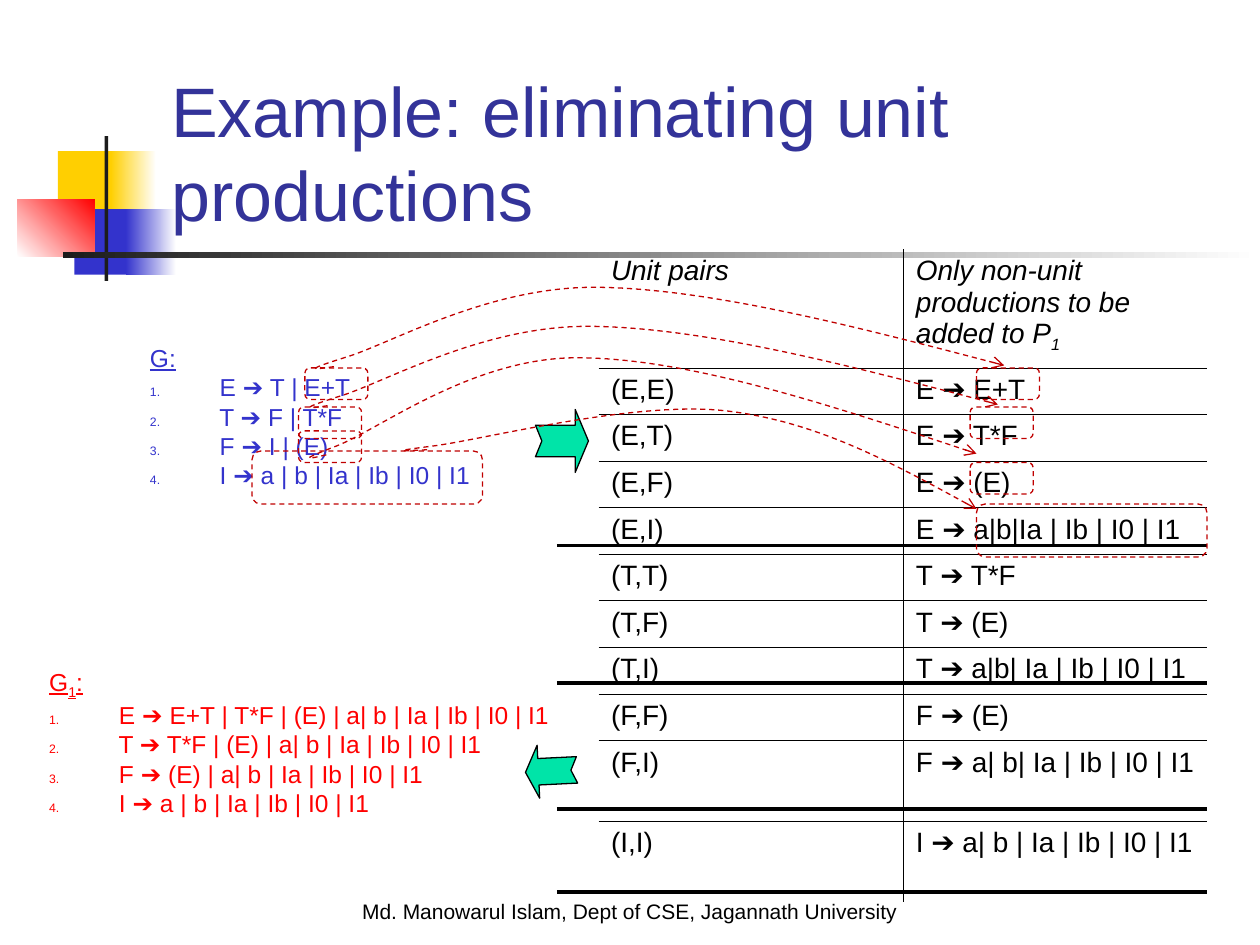
from dataclasses import dataclass

from lxml import etree
from pptx import Presentation
from pptx.dml.color import RGBColor
from pptx.enum.dml import MSO_LINE
from pptx.enum.shapes import MSO_CONNECTOR, MSO_SHAPE
from pptx.enum.text import MSO_ANCHOR, MSO_AUTO_SIZE, PP_ALIGN
from pptx.oxml.ns import qn
from pptx.util import Inches, Pt

RECT, ROUND = MSO_SHAPE.RECTANGLE, MSO_SHAPE.ROUNDED_RECTANGLE
STRAIGHT = MSO_CONNECTOR.STRAIGHT
DASH = MSO_LINE.DASH
LEFT, CENTER = PP_ALIGN.LEFT, PP_ALIGN.CENTER
TOP, BOTTOM = MSO_ANCHOR.TOP, MSO_ANCHOR.BOTTOM
NO_FIT = MSO_AUTO_SIZE.NONE


@dataclass(frozen=True)
class Theme:
    font: str = "Arial"
    title: str = "333399"
    blue: str = "3333CC"
    red: str = "FF0000"
    yellow: str = "FFCF01"
    dark: str = "1C1C1C"
    white: str = "FFFFFF"
    black: str = "000000"
    green: str = "00E4A8"
    link: str = "C00000"
    title_size: int = 40
    table_size: int = 16
    list_size: int = 14
    footer_size: int = 12


T = Theme()


def add_text(p, text, size, color, italic=False, underline=False, sub=False):
    r = p.add_run()
    r.text = text
    f = r.font
    f.name, f.size, f.italic, f.underline = T.font, Pt(size), italic, underline
    f.color.rgb = RGBColor.from_string(color)
    if sub:
        r._r.get_or_add_rPr().set("baseline", "-25000")


def style(sp, fill=None, line=None, dash=None):
    sp.shadow.inherit = False
    if fill:
        sp.fill.solid()
        sp.fill.fore_color.rgb = RGBColor.from_string(fill)
    else:
        sp.fill.background()
    if line:
        sp.line.color.rgb = RGBColor.from_string(line)
        sp.line.width = Pt(0.75)
        sp.line.dash_style = dash
    else:
        sp.line.fill.background()


prs = Presentation()
prs.slide_width, prs.slide_height = Inches(10), Inches(7.5)
slide = prs.slides.add_slide(prs.slide_layouts[3])
shapes = slide.shapes

decor = [
    (0.46, 1.2, 0.48, 0.52, T.yellow, None, 0),
    (0.88, 1.2, 0.36, 0.52, T.yellow, T.white, 0),
    (0.59, 1.66, 0.46, 0.52, T.blue, None, 0),
    (1, 1.66, 0.4, 0.52, T.blue, T.white, 0),
    (0.14, 1.58, 0.61, 0.46, T.white, T.red, 45),
    (0.83, 1.08, 0.03, 1.15, T.dark, None, 0),
    (0.5, 2, 9.5, 0.05, T.dark, T.white, 0),
]
for x, y, w, h, start, end, angle in decor:
    sp = shapes.add_shape(RECT, Inches(x), Inches(y), Inches(w), Inches(h))
    style(sp, start)
    if end:
        sp.fill.gradient()
        sp.fill.gradient_angle = angle
        for stop, color in zip(sp.fill.gradient_stops, (start, end)):
            stop.color.rgb = RGBColor.from_string(color)

footer = shapes.add_textbox(0, Inches(7.08), Inches(10), Inches(0.3))
footer.text_frame.word_wrap = True
p = footer.text_frame.paragraphs[0]
p.alignment = CENTER
add_text(p, "Md. Manowarul Islam, Dept of CSE, Jagannath University", T.footer_size, T.black)

title, grammar, result = slide.placeholders
boxes = [
    (title, 1.26, 0.67, 8.52, 1.25, BOTTOM),
    (grammar, 0.09, 2.67, 3.77, 1.27, TOP),
    (result, -0.71, 5.24, 5.21, 1.3, TOP),
]
for ph, x, y, w, h, anchor in boxes:
    shapes._spTree.append(ph._element)
    ph.left, ph.top, ph.width, ph.height = Inches(x), Inches(y), Inches(w), Inches(h)
    tf = ph.text_frame
    tf.word_wrap, tf.auto_size, tf.vertical_anchor = True, NO_FIT, anchor
p = title.text_frame.paragraphs[0]
p.alignment = LEFT
add_text(p, "Example: eliminating unit productions", T.title_size, T.title)

lists = [
    (grammar, T.blue, [("G:", False)],
     ["E ➔ T | E+T", "T ➔ F | T*F", "F ➔ I | (E)", "I ➔ a | b | Ia | Ib | I0 | I1"]),
    (result, T.red, [("G", False), ("1", True), (":", False)],
     ["E ➔ E+T | T*F | (E) | a| b | Ia | Ib | I0 | I1",
      "T ➔ T*F | (E) | a| b | Ia | Ib | I0 | I1",
      "F ➔ (E) | a| b | Ia | Ib | I0 | I1",
      "I ➔ a | b | Ia | Ib | I0 | I1"]),
]
for ph, color, heading, rules in lists:
    tf = ph.text_frame
    for i in range(len(rules) + 1):
        p = tf.add_paragraph() if i else tf.paragraphs[0]
        p.level, p.space_before = 2, Pt(0)
        pPr = p._p.get_or_add_pPr()
        pPr.set("marL", str(Inches(1.5)))
        pPr.set("indent", str(Inches(-0.5)))
        if i == 0:
            etree.SubElement(pPr, qn("a:buNone"))
            for text, sub in heading:
                add_text(p, text, T.list_size, color, underline=True, sub=sub)
            continue
        clr = etree.SubElement(pPr, qn("a:buClr"))
        etree.SubElement(clr, qn("a:srgbClr"), val=color)
        etree.SubElement(pPr, qn("a:buSzPct"), val="50000")
        etree.SubElement(pPr, qn("a:buFont"), typeface=T.font)
        etree.SubElement(pPr, qn("a:buAutoNum"), type="arabicPeriod")
        add_text(p, " " + rules[i - 1], T.list_size, color)

rows = [
    ("Unit pairs", "Only non-unit productions to be added to P"),
    ("(E,E)", "E ➔ E+T"),
    ("(E,T)", "E ➔ T*F"),
    ("(E,F)", "E ➔ (E)"),
    ("(E,I)", "E ➔ a|b|Ia | Ib | I0 | I1"),
    ("(T,T)", "T ➔ T*F"),
    ("(T,F)", "T ➔ (E)"),
    ("(T,I)", "T ➔ a|b| Ia | Ib | I0 | I1"),
    ("(F,F)", "F ➔ (E)"),
    ("(F,I)", "F ➔ a| b| Ia | Ib | I0 | I1"),
    ("(I,I)", "I ➔ a| b | Ia | Ib | I0 | I1"),
]
heights = [0.94] + [0.37] * 8 + [0.64] * 2
frame = shapes.add_table(len(rows), 2, Inches(4.75), Inches(1.98), Inches(4.83), Inches(sum(heights)))
table = frame.table
table.first_row = table.horz_banding = False
for col, w in zip(table.columns, (2.42, 2.41)):
    col.width = Inches(w)
for i, (row, h) in enumerate(zip(rows, heights)):
    table.rows[i].height = Inches(h)
    for j, text in enumerate(row):
        cell = table.cell(i, j)
        p = cell.text_frame.paragraphs[0]
        p.space_before = Pt(4)
        add_text(p, text, T.table_size, T.black, italic=i == 0)
        if i == 0 and j == 1:
            add_text(p, "1", T.table_size, T.black, italic=True, sub=True)
        tcPr = cell._tc.get_or_add_tcPr()
        inner = {"lnL": j > 0, "lnR": j < 1, "lnT": i > 0, "lnB": i < len(rows) - 1}
        for side, shown in inner.items():
            ln = etree.SubElement(tcPr, qn("a:" + side), w=str(Pt(0.45)))
            fill = etree.SubElement(ln, qn("a:solidFill" if shown else "a:noFill"))
            if shown:
                etree.SubElement(fill, qn("a:srgbClr"), val=T.black)
        cell.fill.background()

notched = [(0, 0.25), (0.75, 0.25), (0.75, 0), (1, 0.5), (0.75, 1), (0.75, 0.75), (0, 0.75), (0.12, 0.5)]
for x, y, w, h, angle in ((4.25, 3.25, 0.42, 0.5, 0), (4.17, 5.91, 0.41, 0.42, 177.2)):
    points = [(Inches(x + u * w), Inches(y + v * h)) for u, v in notched]
    fb = shapes.build_freeform(*points[0])
    fb.add_line_segments(points[1:], close=True)
    sp = fb.convert_to_shape()
    sp.rotation = angle
    style(sp, T.green, T.black)

for y in (4.33, 5.42, 6.42, 7.08):
    line = shapes.add_connector(STRAIGHT, Inches(4.42), Inches(y), Inches(9.58), Inches(y))
    line.line.color.rgb = RGBColor.from_string(T.black)
    line.line.width = Pt(2)
    etree.SubElement(line._element.spPr, qn("a:effectLst"))

links = [
    ((2.42, 2.92), (7.75, 2.92), (0.5, 0.25),
     [(2.65, 2.91), (2.51, 2.93), (2.38, 2.95), (2.73, 2.84), (3.08, 2.74),
      (3.87, 2.27), (4.74, 2.28), (5.61, 2.29), (6.79, 2.59), (7.97, 2.9)]),
    ((2.37, 3.23), (7.7, 3.23), (0.5, 0.25),
     [(2.6, 3.22), (2.47, 3.24), (2.33, 3.26), (2.68, 3.15), (3.03, 3.05),
      (3.82, 2.58), (4.69, 2.59), (5.57, 2.6), (6.74, 2.9), (7.92, 3.21)]),
    ((2.37, 3.42), (7.7, 3.67), (0.5, 0.25),
     [(2.59, 3.61), (2.46, 3.64), (2.33, 3.67), (2.67, 3.54), (3.01, 3.41),
      (3.77, 2.82), (4.62, 2.84), (5.47, 2.85), (6.61, 3.22), (7.75, 3.6)]),
    ((2, 3.58), (7.75, 4), (1.83, 0.42),
     [(3.39, 3.57), (3.21, 3.58), (3.04, 3.59), (3.44, 3.54), (3.83, 3.49),
      (5.03, 3.18), (5.75, 3.26), (6.47, 3.34), (7.11, 3.69), (7.75, 4.04)]),
]
for source, target, (w, h), curve in links:
    group = shapes.add_group_shape()
    for x, y in (source, target):
        sp = group.shapes.add_shape(ROUND, Inches(x), Inches(y), Inches(w), Inches(h))
        style(sp, line=T.link, dash=DASH)
    points = [(Inches(x), Inches(y)) for x, y in curve]
    fb = group.shapes.build_freeform(*points[0])
    fb.add_line_segments(points[1:], close=False)
    sp = fb.convert_to_shape()
    outline = next(sp._element.iter(qn("a:path")))
    segments = outline.findall(qn("a:lnTo"))
    for k in range(0, len(segments), 3):
        bezier = etree.SubElement(outline, qn("a:cubicBezTo"))
        for segment in segments[k:k + 3]:
            bezier.append(segment[0])
            outline.remove(segment)
    style(sp, line=T.link, dash=DASH)
    etree.SubElement(sp.line._get_or_add_ln(), qn("a:tailEnd"), type="arrow")

prs.save("out.pptx")
